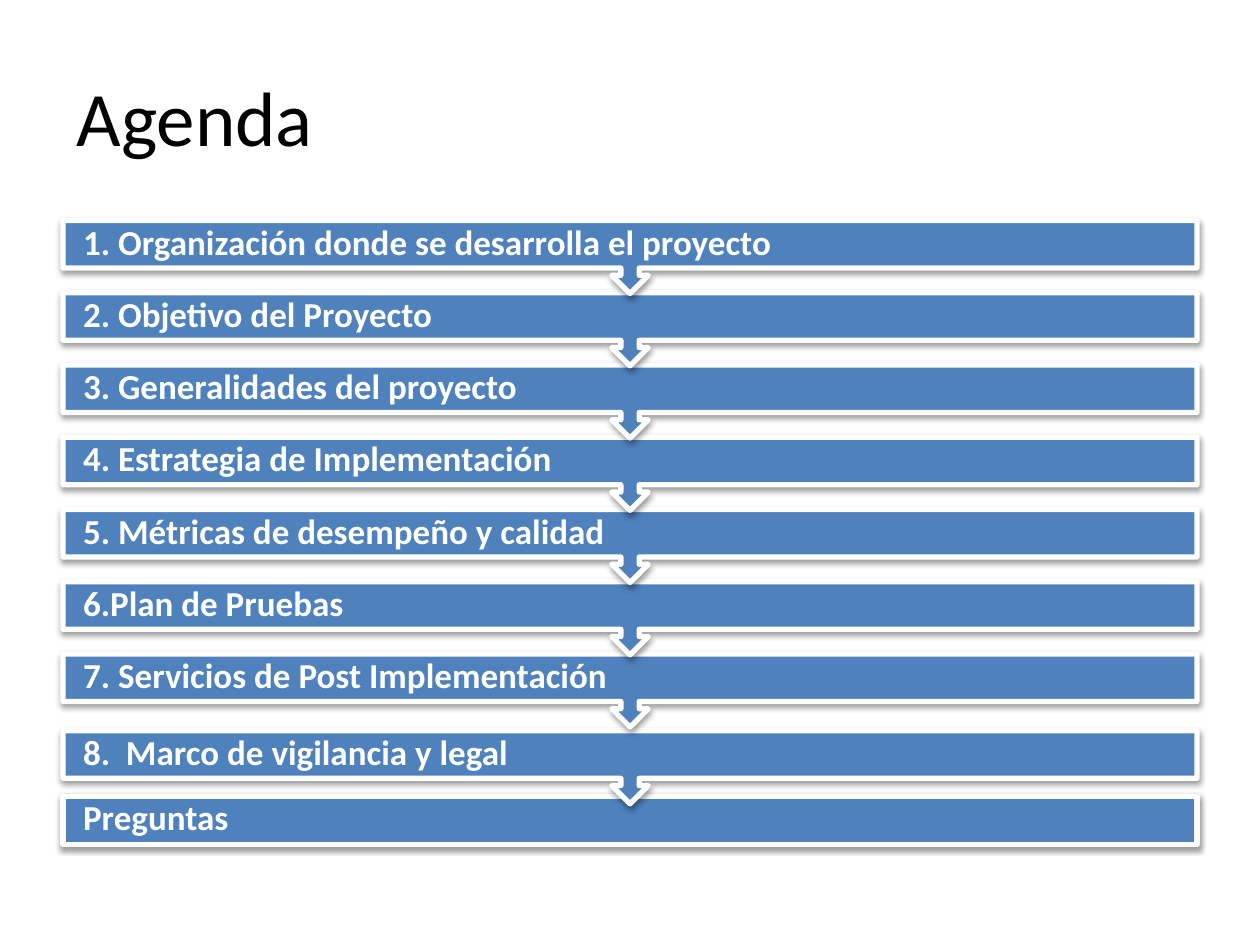
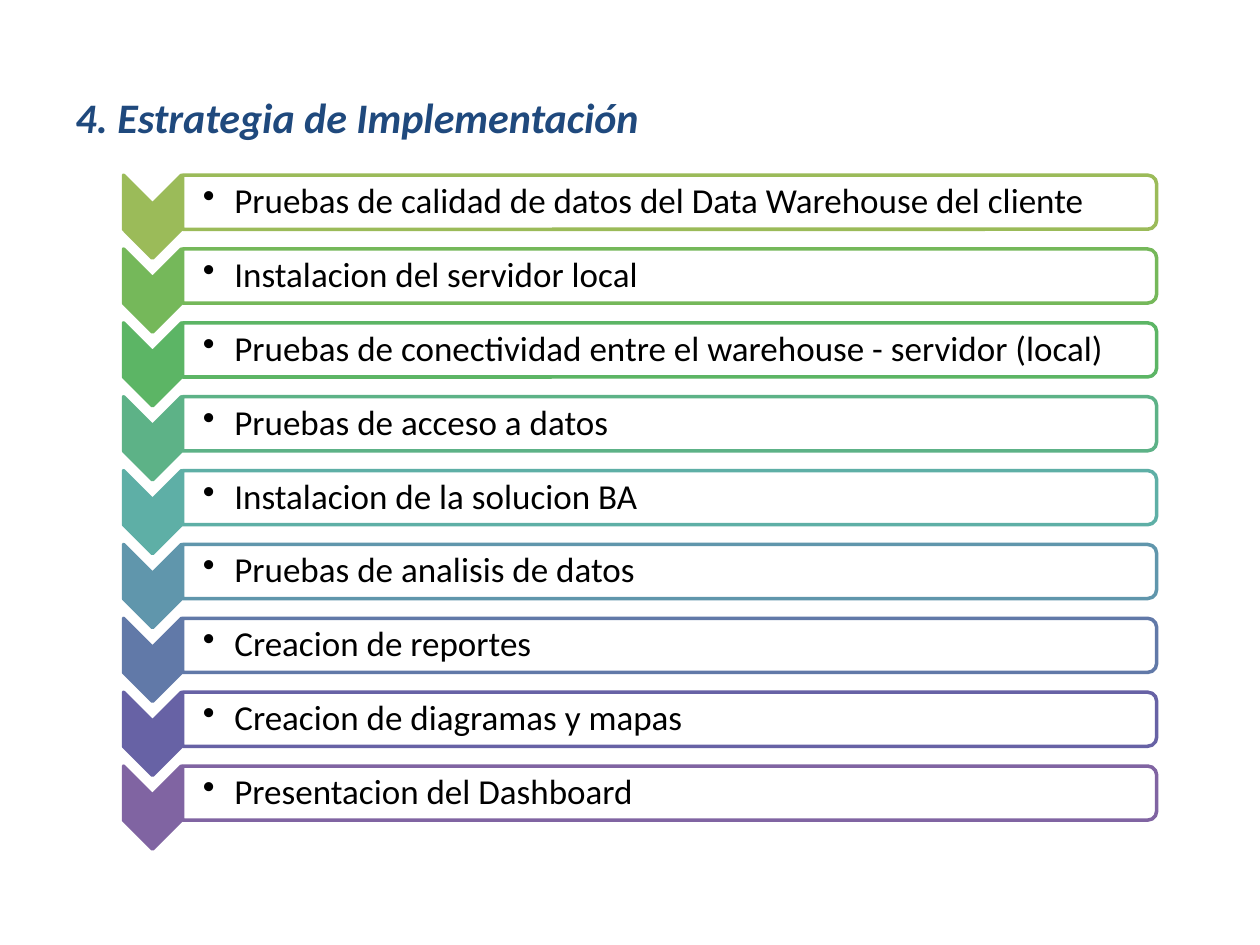
from dataclasses import dataclass

from lxml import etree
from pptx import Presentation
from pptx.dml.color import RGBColor
from pptx.enum.shapes import MSO_SHAPE
from pptx.enum.text import MSO_ANCHOR
from pptx.oxml.ns import qn
from pptx.util import Inches, Pt

RECT = MSO_SHAPE.RECTANGLE
CALLOUT = MSO_SHAPE.UP_ARROW_CALLOUT
CHEVRON = MSO_SHAPE.CHEVRON
TAB = MSO_SHAPE.ROUND_2_SAME_RECTANGLE
MIDDLE = MSO_ANCHOR.MIDDLE


@dataclass(frozen=True)
class Theme:
    font: str = "Calibri"
    black: str = "000000"
    white: str = "FFFFFF"
    navy: str = "1F497D"
    blue: str = "4F81BD"
    steps: tuple = ("9BBB59", "75B85A", "5CB565", "5DB287", "5EAFA6",
                    "6096AC", "6179A8", "6762A5", "8064A2")
    head: int = 44
    sub: int = 24
    body: int = 20


THEME = Theme()


def add_box(slide, kind, area, fill, line, width, turn=0):
    """Add a filled shape; area is left, top, width, height before the turn."""
    box = slide.shapes.add_shape(kind, *map(Inches, area))
    box.rotation = turn
    box.shadow.inherit = False
    box.fill.solid()
    box.fill.fore_color.rgb = RGBColor.from_string(fill)
    box.line.color.rgb = RGBColor.from_string(line)
    box.line.width = Pt(width)
    return box


def add_text(slide, area, words, size, color, bold=False, italic=False, pad=0.16):
    """Add one line of text, centred in height, and return its paragraph."""
    frame = slide.shapes.add_textbox(*map(Inches, area)).text_frame
    frame.word_wrap = True
    frame.vertical_anchor = MIDDLE
    frame.margin_left = Inches(pad)
    frame.margin_right = frame.margin_top = frame.margin_bottom = Inches(0.01)
    para = frame.paragraphs[0]
    para.line_spacing = 0.9 if size == THEME.body else 1.0
    run = para.add_run()
    run.text = words
    font = run.font
    font.name, font.size = THEME.font, Pt(size)
    font.bold, font.italic = bold, italic
    font.color.rgb = RGBColor.from_string(color)
    return para


deck = Presentation()
deck.slide_width, deck.slide_height = Inches(10), Inches(7.5)
blank = deck.slide_layouts[6]

# Agenda: bars stacked from the last to the first, so each arrow lies on the next bar
agenda = deck.slides.add_slide(blank)
add_text(agenda, (0.51, 0.29, 9, 1.25), "Agenda", THEME.head, THEME.black, pad=0.1)

topics = [
    "1. Organización donde se desarrolla el proyecto",
    "2. Objetivo del Proyecto",
    "3. Generalidades del proyecto",
    "4. Estrategia de Implementación",
    "5. Métricas de desempeño y calidad",
    "6.Plan de Pruebas",
    "7. Servicios de Post Implementación",
    "8.  Marco de vigilancia y legal",
    "Preguntas",
]
tops = [1.75 + i * (5.19 - 1.75) / 6 for i in range(7)] + [5.8, 6.32]
for topic, top in reversed(list(zip(topics, tops))):
    last = topic == topics[-1]
    kind, tall, turn = (RECT, 0.38, 0) if last else (CALLOUT, 0.58, 180)
    bar = add_box(agenda, kind, (0.5, top, 9, tall), THEME.blue, THEME.white, 3, turn)
    effects = bar._element.spPr.find(qn("a:effectLst"))
    shade = etree.SubElement(effects, qn("a:outerShdw"), blurRad="40000",
                             dist="20000", dir="5400000", rotWithShape="0")
    tint = etree.SubElement(shade, qn("a:srgbClr"), val=THEME.black)
    etree.SubElement(tint, qn("a:alpha"), val="38000")
    add_text(agenda, (0.5, top, 9, 0.37), topic, THEME.body, THEME.white, bold=True)

# Strategy: a chevron and a bulleted tab for each step
plan = deck.slides.add_slide(blank)
add_text(plan, (0.5, 0.3, 9, 1.25), "4. Estrategia de Implementación",
         THEME.sub, THEME.navy, bold=True, italic=True, pad=0.1)

tasks = [
    "Pruebas de calidad de datos del Data Warehouse del cliente",
    "Instalacion del servidor local",
    "Pruebas de conectividad entre el warehouse - servidor (local)",
    "Pruebas de acceso a datos",
    "Instalacion de la solucion BA",
    "Pruebas de analisis de datos",
    "Creacion de reportes",
    "Creacion de diagramas y mapas",
    "Presentacion del Dashboard",
]
pitch = (6.18 - 1.49) / (len(tasks) - 1)
for i, (task, color) in enumerate(zip(tasks, THEME.steps)):
    drop = i * pitch
    add_box(plan, CHEVRON, (0.88, 1.49 + drop, 0.66, 0.46), color, color, 2, 90)
    tab = add_box(plan, TAB, (5.1, -2.26 + drop, 0.43, 7.73), THEME.white, color, 2, 90)
    tint = tab._element.spPr.find(qn("a:solidFill")).find(qn("a:srgbClr"))
    etree.SubElement(tint, qn("a:alpha"), val="90000")
    para = add_text(plan, (1.45, 1.41 + drop, 7.71, 0.39), task, THEME.body, THEME.black)
    props = para._p.get_or_add_pPr()
    props.set("marL", str(Inches(0.25)))
    props.set("indent", str(-Inches(0.25)))
    etree.SubElement(props, qn("a:buChar"), char="•")

deck.save("out.pptx")
